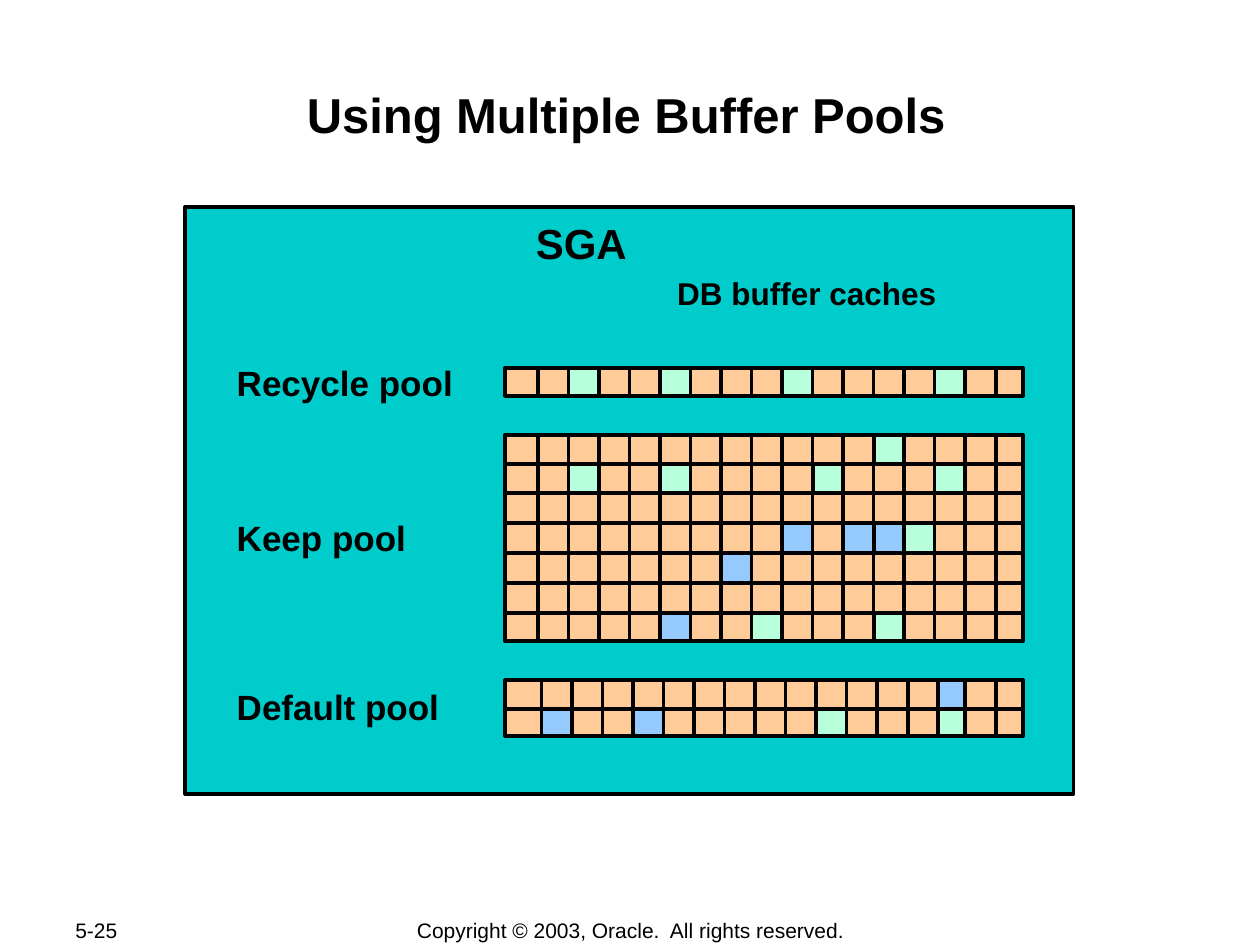
import pptx
import pptx.util
import pptx.dml.color
import pptx.enum.shapes
import pptx.enum.text
from lxml import etree

Pt = pptx.util.Pt
ALIGN = pptx.enum.text.PP_ALIGN
ANCHOR = pptx.enum.text.MSO_ANCHOR
RECTANGLE = pptx.enum.shapes.MSO_SHAPE.RECTANGLE
STRAIGHT = pptx.enum.shapes.MSO_CONNECTOR.STRAIGHT

COLORS = {"ink": "000000", "sga": "00CCCC", "free": "FFCC99",
          "green": "B8FFDB", "blue": "95CAFF"}

# Content: text, left, top, width, height, size, bold, alignment, anchor, wrap
HEADINGS = [
    ("Using Multiple Buffer Pools", 69.84, 45, 576, 60, 28, True, ALIGN.CENTER, ANCHOR.TOP, True),
    ("SGA", 270.72, 120.5, 123, 36, 24, True, ALIGN.CENTER, ANCHOR.TOP, True),
    ("DB buffer caches", 316, 153, 290, 29, 18, True, ALIGN.CENTER, ANCHOR.TOP, True),
]
POOL_LABELS = [("Recycle pool", 203), ("Keep pool", 291.6), ("Default pool", 388)]
FOOTERS = [
    ("5-25", 36, 524.2, 76.3, 14.4, 12, False, ALIGN.LEFT, ANCHOR.MIDDLE, False),
    ("Copyright © 2003, Oracle.  All rights reserved.",
     198.7, 524.2, 323.3, 15.1, 12, False, ALIGN.CENTER, ANCHOR.MIDDLE, False),
]
SGA_BOX = (105.84, 118.1, 507.6, 335.5)

# Used buffers are (row, column, color); shift moves the left column lines
POOLS = [
    {"top": 210.24, "height": 15.84, "rows": 1, "shift": 0, "open_columns": (),
     "buffers": [(0, column, "green") for column in (2, 5, 9, 14)]},
    {"top": 248.4, "height": 118.1, "rows": 7, "shift": 0, "open_columns": (),
     "buffers": [(0, 12, "green"),
                 (1, 2, "green"), (1, 5, "green"), (1, 10, "green"), (1, 14, "green"),
                 (3, 9, "blue"), (3, 11, "blue"), (3, 12, "blue"), (3, 13, "green"),
                 (4, 7, "blue"),
                 (6, 5, "blue"), (6, 8, "green"), (6, 12, "green")]},
    {"top": 388.8, "height": 31.7, "rows": 2, "shift": 2, "open_columns": (15,),
     "buffers": [(0, 14, "blue"), (1, 1, "blue"), (1, 4, "blue"),
                 (1, 10, "green"), (1, 14, "green")]},
]
GRID_LEFT, GRID_WIDTH, COLUMNS = 288.72, 295.92, 17
FIRST_COLUMN, COLUMN_PITCH, SHIFTED_COLUMNS = 18.72, 17.43, 14
FIRST_ROW, ROW_PITCH = 16.56, 17.03
LINE_WIDTH, OVERSHOOT = 2.25, 0.7


def rgb(name):
    return pptx.dml.color.RGBColor.from_string(COLORS[name])


def add_label(slide, text, left, top, width, height, size, bold, align, anchor, wrap):
    label = slide.shapes.add_textbox(Pt(left), Pt(top), Pt(width), Pt(height))
    frame = label.text_frame
    frame.text = text
    frame.word_wrap = wrap
    frame.vertical_anchor = anchor
    paragraph = frame.paragraphs[0]
    paragraph.alignment = align
    font = paragraph.runs[0].font
    font.name, font.size, font.bold = "Arial", Pt(size), bold
    font.color.rgb = rgb("ink")


def add_box(shapes, left, top, width, height, color):
    box = shapes.add_shape(RECTANGLE, Pt(left), Pt(top), Pt(width), Pt(height))
    box.shadow.inherit = False
    box.fill.solid()
    box.fill.fore_color.rgb = rgb(color)
    box.line.color.rgb = rgb("ink")
    box.line.width = Pt(LINE_WIDTH)


def add_line(shapes, x1, y1, x2, y2):
    line = shapes.add_connector(STRAIGHT, Pt(x1), Pt(y1), Pt(x2), Pt(y2))
    line.line.color.rgb = rgb("ink")
    line.line.width = Pt(LINE_WIDTH)
    properties = line._element.spPr
    etree.SubElement(properties, pptx.oxml.ns.qn("a:effectLst"))


def add_pool(slide, pool):
    shapes = slide.shapes.add_group_shape().shapes
    top, bottom = pool["top"], pool["top"] + pool["height"]
    right = GRID_LEFT + GRID_WIDTH

    # Edges of the columns and rows, outer frame included
    xs = [GRID_LEFT]
    for column in range(1, COLUMNS):
        shift = pool["shift"] if column <= SHIFTED_COLUMNS else 0
        xs.append(GRID_LEFT + FIRST_COLUMN + (column - 1) * COLUMN_PITCH + shift)
    xs.append(right)
    ys = [top] + [top + FIRST_ROW + row * ROW_PITCH for row in range(pool["rows"] - 1)] + [bottom]

    add_box(shapes, GRID_LEFT, top, GRID_WIDTH, pool["height"], "free")
    for column in range(1, COLUMNS):
        if column not in pool["open_columns"]:
            add_line(shapes, xs[column], top - OVERSHOOT, xs[column], bottom + OVERSHOOT)
    for y in ys[1:-1]:
        add_line(shapes, GRID_LEFT, y, right + OVERSHOOT, y)
    for row, column, color in pool["buffers"]:
        add_box(shapes, xs[column], ys[row],
                xs[column + 1] - xs[column], ys[row + 1] - ys[row], color)


def main():
    deck = pptx.Presentation()
    deck.slide_width, deck.slide_height = Pt(720), Pt(540)
    slide = deck.slides.add_slide(deck.slide_layouts[6])

    # SGA frame, headings and footers
    add_box(slide.shapes, *SGA_BOX, "sga")
    for label in HEADINGS + FOOTERS:
        add_label(slide, *label)

    # Buffer pools and their names
    for pool in POOLS:
        add_pool(slide, pool)
    for text, top in POOL_LABELS:
        add_label(slide, text, 128.2, top, 138, 31, 20, True, ALIGN.LEFT, ANCHOR.TOP, False)

    deck.save("out.pptx")


if __name__ == "__main__":
    main()
